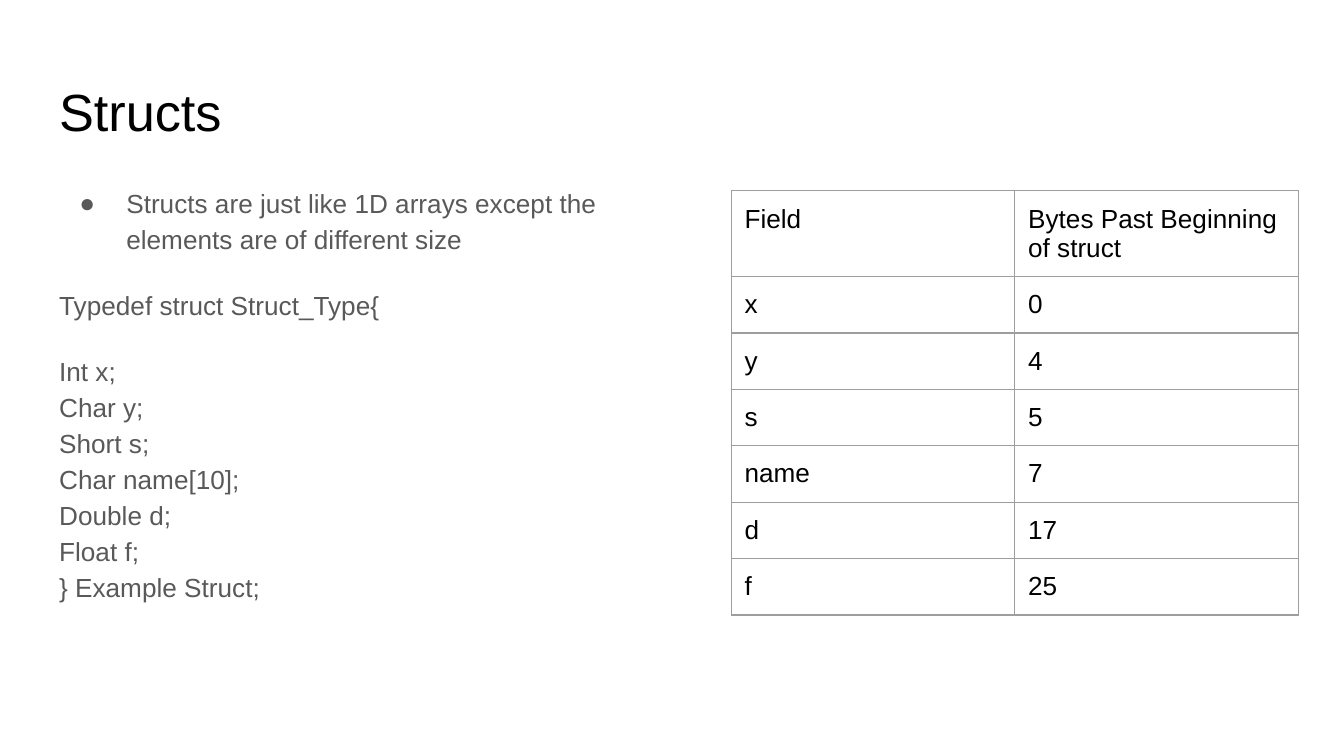
import pptx
import pptx.util
import pptx.dml.color
import pptx.enum.text
import pptx.oxml.ns
from lxml import etree

Inches = pptx.util.Inches
Pt = pptx.util.Pt

TITLE = "Structs"
BULLET = "Structs are just like 1D arrays except the elements are of different size"
CODE = [
    ("Typedef struct Struct_Type{", 16),
    ("Int x;", 16),
    ("Char y;", 0),
    ("Short s;", 0),
    ("Char name[10];", 0),
    ("Double d;", 0),
    ("Float f;", 0),
    ("} Example Struct;", 0),
]
OFFSETS = [
    ("Field", "Bytes Past Beginning of struct"),
    ("x", "0"),
    ("y", "4"),
    ("s", "5"),
    ("name", "7"),
    ("d", "17"),
    ("f", "25"),
]
BLACK, GREY, BORDER = "000000", "595959", "9E9E9E"
COLUMN_WIDTH, HEADER_HEIGHT, ROW_HEIGHT = 2.11, 0.63, 0.42


def color(value):
    return pptx.dml.color.RGBColor.from_string(value)


def add_element(parent, tag, **attributes):
    return etree.SubElement(parent, pptx.oxml.ns.qn(tag), attributes)


def format_paragraph(paragraph, size, font_color):
    paragraph.alignment = pptx.enum.text.PP_ALIGN.LEFT
    paragraph.font.name = "Arial"
    paragraph.font.size = Pt(size)
    paragraph.font.color.rgb = color(font_color)


def place(shape, left, top, width, height):
    shape.left, shape.top = Inches(left), Inches(top)
    shape.width, shape.height = Inches(width), Inches(height)


def set_margins(target):
    target.margin_left = target.margin_right = Inches(0.1)
    target.margin_top = target.margin_bottom = Inches(0.1)
    target.vertical_anchor = pptx.enum.text.MSO_ANCHOR.TOP


def fill_placeholder(shape, texts):
    frame = shape.text_frame
    frame.text = "\n".join(texts)
    frame.auto_size = pptx.enum.text.MSO_AUTO_SIZE.NONE
    set_margins(frame)
    return frame.paragraphs


def add_title(slide):
    title = slide.shapes.title
    place(title, 0.34, 0.49, 9.32, 0.63)
    format_paragraph(fill_placeholder(title, [TITLE])[0], 28, BLACK)


def set_bullet(paragraph, bulleted):
    properties = paragraph._p.get_or_add_pPr()
    properties.set("marL", str(Inches(0.5 if bulleted else 0)))
    properties.set("indent", str(Inches(-0.35 if bulleted else 0)))
    default_run = properties.find(pptx.oxml.ns.qn("a:defRPr"))
    if bulleted:
        bullet_color = etree.Element(pptx.oxml.ns.qn("a:buClr"))
        add_element(bullet_color, "a:srgbClr", val=GREY)
        default_run.addprevious(bullet_color)
        default_run.addprevious(etree.Element(pptx.oxml.ns.qn("a:buChar"), char="●"))
    else:
        default_run.addprevious(etree.Element(pptx.oxml.ns.qn("a:buNone")))


def add_body(slide):
    body = slide.placeholders[1]
    place(body, 0.34, 1.26, 4.37, 3.74)
    lines = [(BULLET, 0)] + CODE
    paragraphs = fill_placeholder(body, [text for text, _ in lines])
    for paragraph, (text, space) in zip(paragraphs, lines):
        format_paragraph(paragraph, 14, GREY)
        paragraph.line_spacing = 1.15
        paragraph.space_before = Pt(space)
        paragraph.space_after = Pt(0)
        set_bullet(paragraph, text == BULLET)


def add_borders(cell):
    properties = cell._tc.get_or_add_tcPr()
    for side in ("a:lnL", "a:lnR", "a:lnT", "a:lnB"):
        line = add_element(properties, side, w=str(Pt(0.75)))
        fill = add_element(line, "a:solidFill")
        add_element(fill, "a:srgbClr", val=BORDER)


def add_offset_table(slide):
    heights = [HEADER_HEIGHT] + [ROW_HEIGHT] * (len(OFFSETS) - 1)
    columns = len(OFFSETS[0])
    table = slide.shapes.add_table(
        len(OFFSETS), columns, Inches(5.44), Inches(1.42),
        Inches(COLUMN_WIDTH * columns), Inches(sum(heights)),
    ).table
    table.first_row = False
    table.horz_banding = False
    for column in table.columns:
        column.width = Inches(COLUMN_WIDTH)
    for row, height, texts in zip(table.rows, heights, OFFSETS):
        row.height = Inches(height)
        for cell, text in zip(row.cells, texts):
            cell.text = text
            set_margins(cell)
            format_paragraph(cell.text_frame.paragraphs[0], 14, BLACK)
            add_borders(cell)
            cell.fill.background()


def main():
    presentation = pptx.Presentation()
    presentation.slide_width = Inches(10)
    presentation.slide_height = Inches(10 * 9 / 16)
    slide = presentation.slides.add_slide(presentation.slide_layouts[1])
    add_title(slide)
    add_body(slide)
    add_offset_table(slide)
    presentation.save("out.pptx")


if __name__ == "__main__":
    main()
